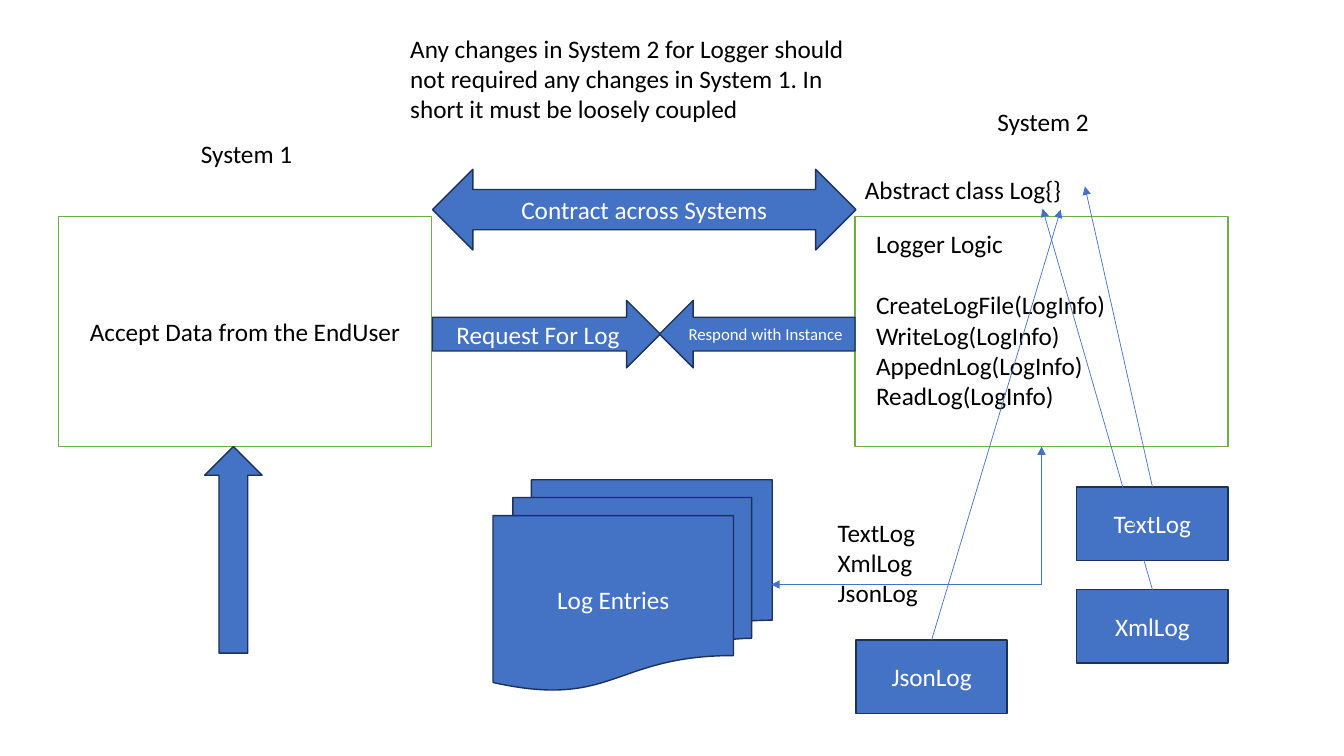
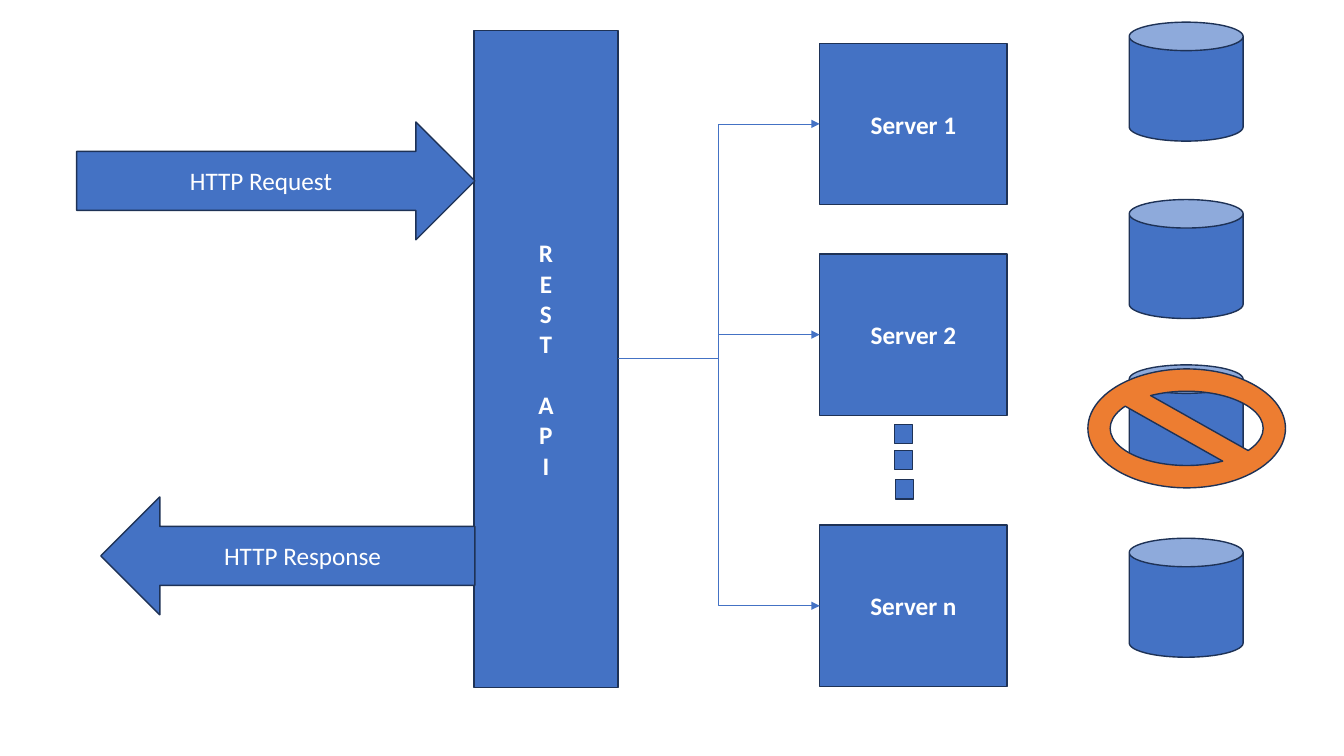
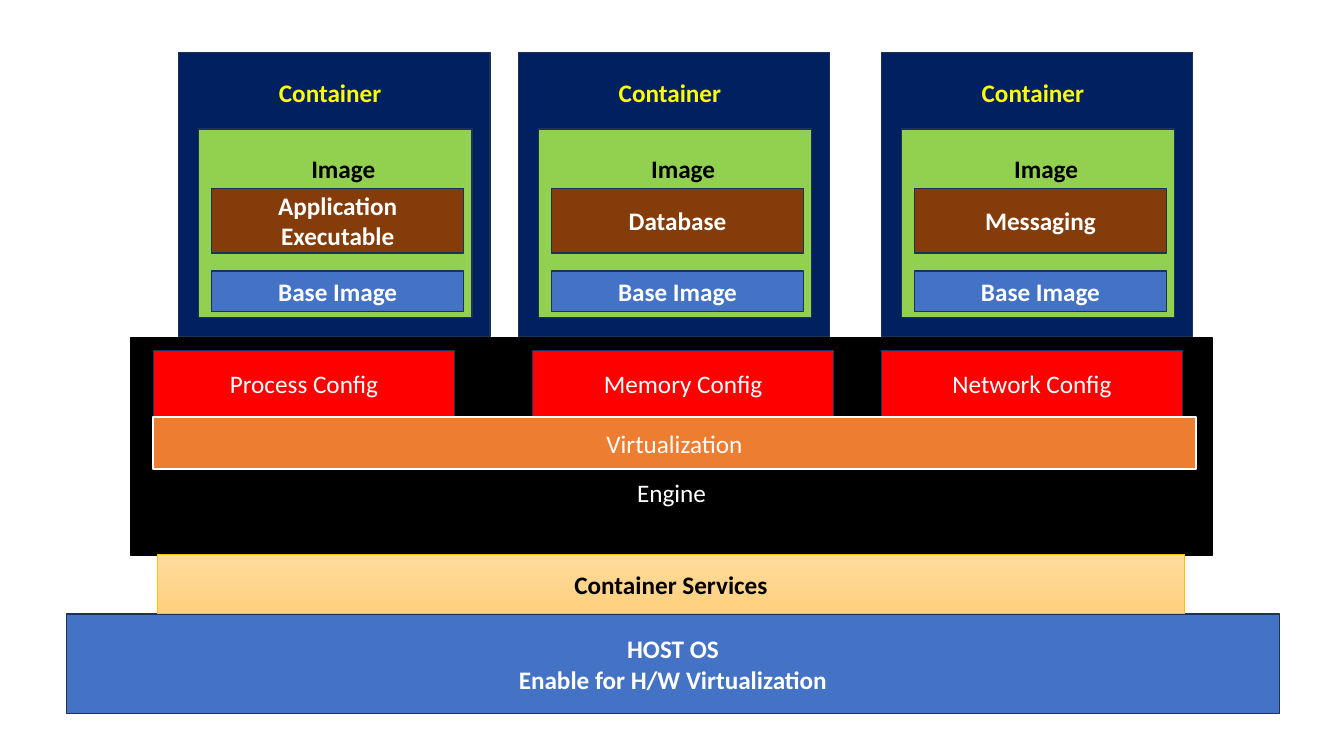
from pptx import Presentation
from pptx.dml.color import RGBColor
from pptx.enum.shapes import MSO_CONNECTOR, MSO_SHAPE
from pptx.enum.text import MSO_ANCHOR, MSO_AUTO_SIZE, PP_ALIGN
from pptx.oxml.ns import qn
from pptx.util import Pt
from lxml import etree

PX = 9144
FONT = "Calibri"
BLUE, NAVY, GREEN, ORANGE = "4472C4", "1E3256", "70AD47", "ED7D31"
WHITE, BLACK, RED, YELLOW = "FFFFFF", "000000", "FF0000", "FFFF00"
CONTAINER, IMAGE, CONTENT, GOLD = "002060", "92D050", "843C0B", "FFC000"
SERVICE_TOP, SERVICE_BOTTOM = "FFDB9E", "FFD07C"

RECTANGLE = MSO_SHAPE.RECTANGLE
UP_ARROW, RIGHT_ARROW = MSO_SHAPE.UP_ARROW, MSO_SHAPE.RIGHT_ARROW
LEFT_ARROW, DOUBLE_ARROW = MSO_SHAPE.LEFT_ARROW, MSO_SHAPE.LEFT_RIGHT_ARROW
DOCUMENTS, CAN, NO_SYMBOL = MSO_SHAPE.FLOWCHART_MULTIDOCUMENT, MSO_SHAPE.CAN, MSO_SHAPE.NO_SYMBOL
STRAIGHT, ELBOW = MSO_CONNECTOR.STRAIGHT, MSO_CONNECTOR.ELBOW
LEFT, CENTER = PP_ALIGN.LEFT, PP_ALIGN.CENTER
TOP, MIDDLE = MSO_ANCHOR.TOP, MSO_ANCHOR.MIDDLE
GROW, FIXED = MSO_AUTO_SIZE.SHAPE_TO_FIT_TEXT, MSO_AUTO_SIZE.NONE
TOP_SIDE, LEFT_SIDE, BOTTOM_SIDE, RIGHT_SIDE = range(4)
LINE_HEIGHT = 22


def color(value):
    """Turn a hex string into a colour."""
    return RGBColor.from_string(value)


def emu(lengths):
    """Scale lengths in px to EMU."""
    return [length * PX for length in lengths]


def apply(target, values):
    """Set each named value on the target."""
    for name, value in values.items():
        setattr(target, name, value)


def write(shape, text, ink, align=CENTER, size=18, bold=False, gap_at=None, **frame_values):
    """Fill a shape with lines of text, with an optional one-line gap."""
    frame = shape.text_frame
    apply(frame, {"word_wrap": True, **frame_values})
    for index, line in enumerate(text.split("\n")):
        paragraph = frame.add_paragraph() if index else frame.paragraphs[0]
        paragraph.alignment = align
        if index == gap_at:
            paragraph.space_before = Pt(LINE_HEIGHT)
        run = paragraph.add_run()
        run.text = line
        apply(run.font, {"name": FONT, "size": Pt(size), "bold": bold})
        run.font.color.rgb = color(ink)


def add_box(slide, kind, bounds, text="", fill=BLUE, line=NAVY, line_width=1, ink=WHITE, **style):
    """Draw a filled preset shape with centred text."""
    shape = slide.shapes.add_shape(kind, *emu(bounds))
    shape.shadow.inherit = False
    shape.fill.solid()
    shape.fill.fore_color.rgb = color(fill)
    shape.line.color.rgb = color(line)
    shape.line.width = Pt(line_width)
    if text:
        write(shape, text, ink, vertical_anchor=MIDDLE, auto_size=FIXED, **style)
    return shape


def add_label(slide, bounds, text, ink=BLACK, **style):
    """Add a text box that grows with its text."""
    label = slide.shapes.add_textbox(*emu(bounds))
    write(label, text, ink, vertical_anchor=TOP, auto_size=GROW, **style)


def add_arrow(slide, kind, start, end, source=None, target=None, ends=("tailEnd",)):
    """Draw a thin connector, joined to (shape, side) pairs where given."""
    connector = slide.shapes.add_connector(kind, *emu(start + end))
    connector.line.color.rgb = color(BLUE)
    connector.line.width = Pt(0.5)
    if source:
        connector.begin_connect(*source)
    if target:
        connector.end_connect(*target)
    properties = connector._element.spPr
    for name in ends:
        etree.SubElement(properties.find(qn("a:ln")), qn(f"a:{name}"), type="triangle")
    etree.SubElement(properties, qn("a:effectLst"))
    return connector


def build_logger(slide):
    """Draw the two loosely coupled systems."""
    add_box(slide, RECTANGLE, (58, 215, 370, 228), "Accept Data from the EndUser",
            WHITE, GREEN, ink=BLACK)
    add_label(slide, (78, 132, 333, 40), "System 1")
    logic = add_box(slide, RECTANGLE, (848, 215, 370, 228), fill=WHITE, line=GREEN)
    add_label(slide, (868, 101, 333, 40), "System 2")
    add_box(slide, UP_ARROW, (203, 443, 57, 205))
    add_box(slide, DOCUMENTS, (489, 476, 277, 209), "Log Entries")
    add_label(slide, (821, 508, 407, 101), "TextLog\nXmlLog\nJsonLog", align=LEFT)
    add_label(slide, (859, 222, 251, 192),
              "Logger Logic\nCreateLogFile(LogInfo)\nWriteLog(LogInfo)\n"
              "AppednLog(LogInfo)\nReadLog(LogInfo)", align=LEFT, gap_at=1)
    corner = add_arrow(slide, ELBOW, (765, 580), (1033, 443), target=(logic, BOTTOM_SIDE),
                       ends=("headEnd", "tailEnd"))
    corner._element.spPr.find(qn("a:prstGeom")).set("prst", "bentConnector2")
    add_label(slide, (848, 168, 407, 40), "Abstract class Log{}", align=LEFT)

    logs = [("TextLog", 1068, 483, (1076, 185)),
            ("XmlLog", 1068, 585, (1034, 207)),
            ("JsonLog", 849, 635, (1052, 208))]
    boxes = [add_box(slide, RECTANGLE, (left, top, 150, 73), name)
             for name, left, top, tip in logs]
    add_box(slide, RIGHT_ARROW, (429, 298, 226, 67), "Request For Log")
    add_box(slide, LEFT_ARROW, (654, 298, 194, 67), "Respond with Instance", size=12)
    add_box(slide, DOUBLE_ARROW, (429, 168, 420, 80), "Contract across Systems")
    add_label(slide, (397, 28, 471, 101),
              "Any changes in System 2 for Logger should not required any changes "
              "in System 1. In short it must be loosely coupled", align=LEFT)
    for box, (name, left, top, tip) in zip(boxes, logs):
        add_arrow(slide, STRAIGHT, (left + 75, top), tip, source=(box, TOP_SIDE))


def build_rest(slide):
    """Draw the REST API in front of its servers and databases."""
    server_tops = {"Server 1": 43, "Server 2": 252, "Server n": 521}
    servers = [add_box(slide, RECTANGLE, (813, top, 186, 160), name, bold=True)
               for name, top in server_tops.items()]
    for left, top in ((887, 421), (887, 447), (888, 476)):
        add_box(slide, RECTANGLE, (left, top, 18, 19))
    for top in (22, 198, 362, 534):
        add_box(slide, CAN, (1120, top, 113, 118))
    add_box(slide, NO_SYMBOL, (1079, 366, 196, 118), fill=ORANGE)
    api = add_box(slide, RECTANGLE, (470, 30, 143, 652), "R\nE\nS\nT\nA\nP\nI",
                  bold=True, gap_at=4)
    add_box(slide, RIGHT_ARROW, (76, 121, 395, 117), "HTTP Request")
    for server, top in zip(servers, server_tops.values()):
        add_arrow(slide, ELBOW, (613, 356), (813, top + 80),
                  source=(api, RIGHT_SIDE), target=(server, LEFT_SIDE))
    add_box(slide, LEFT_ARROW, (100, 493, 371, 117), "HTTP Response")


def add_container(slide, left, content):
    """Draw one container with its image layers."""
    add_box(slide, RECTANGLE, (left, 52, 309, 282), fill=CONTAINER)
    add_label(slide, (left + 9, 72, 283, 40), "Container", YELLOW, bold=True)
    add_box(slide, RECTANGLE, (left + 20, 128, 271, 187), fill=IMAGE)
    add_label(slide, (left + 53, 147, 221, 40), "Image", bold=True)
    add_box(slide, RECTANGLE, (left + 33, 269, 250, 40), "Base Image", bold=True)
    add_box(slide, RECTANGLE, (left + 33, 187, 250, 64), content, CONTENT, bold=True)


def build_containers(slide):
    """Draw the container stack from the host upwards."""
    add_box(slide, RECTANGLE, (66, 609, 1203, 99),
            "HOST OS\nEnable for H/W Virtualization", bold=True)
    add_box(slide, RECTANGLE, (130, 335, 1072, 216), "Engine", BLACK, BLACK,
            margin_top=96 * PX)
    for left, name in ((152, "Process"), (528, "Memory"), (874, "Network")):
        add_box(slide, RECTANGLE, (left, 348, 299, 65), f"{name} Config", RED)
    add_box(slide, RECTANGLE, (152, 414, 1034, 51), "Virtualization", ORANGE, WHITE, 1.5)
    services = add_box(slide, RECTANGLE, (156, 550, 1019, 59), "Container Services",
                       line=GOLD, line_width=0.5, ink=BLACK, bold=True)
    services.fill.gradient()
    services.fill.gradient_angle = 270
    for stop, shade in zip(services.fill.gradient_stops, (SERVICE_TOP, SERVICE_BOTTOM)):
        stop.color.rgb = color(shade)
    for left, content in ((177, "Application Executable"), (514, "Database"), (874, "Messaging")):
        add_container(slide, left, content)


def main():
    """Build and save the presentation."""
    presentation = Presentation()
    presentation.slide_width, presentation.slide_height = emu((1333, 750))
    for build in (build_logger, build_rest, build_containers):
        build(presentation.slides.add_slide(presentation.slide_layouts[6]))
    presentation.save("out.pptx")


if __name__ == "__main__":
    main()
